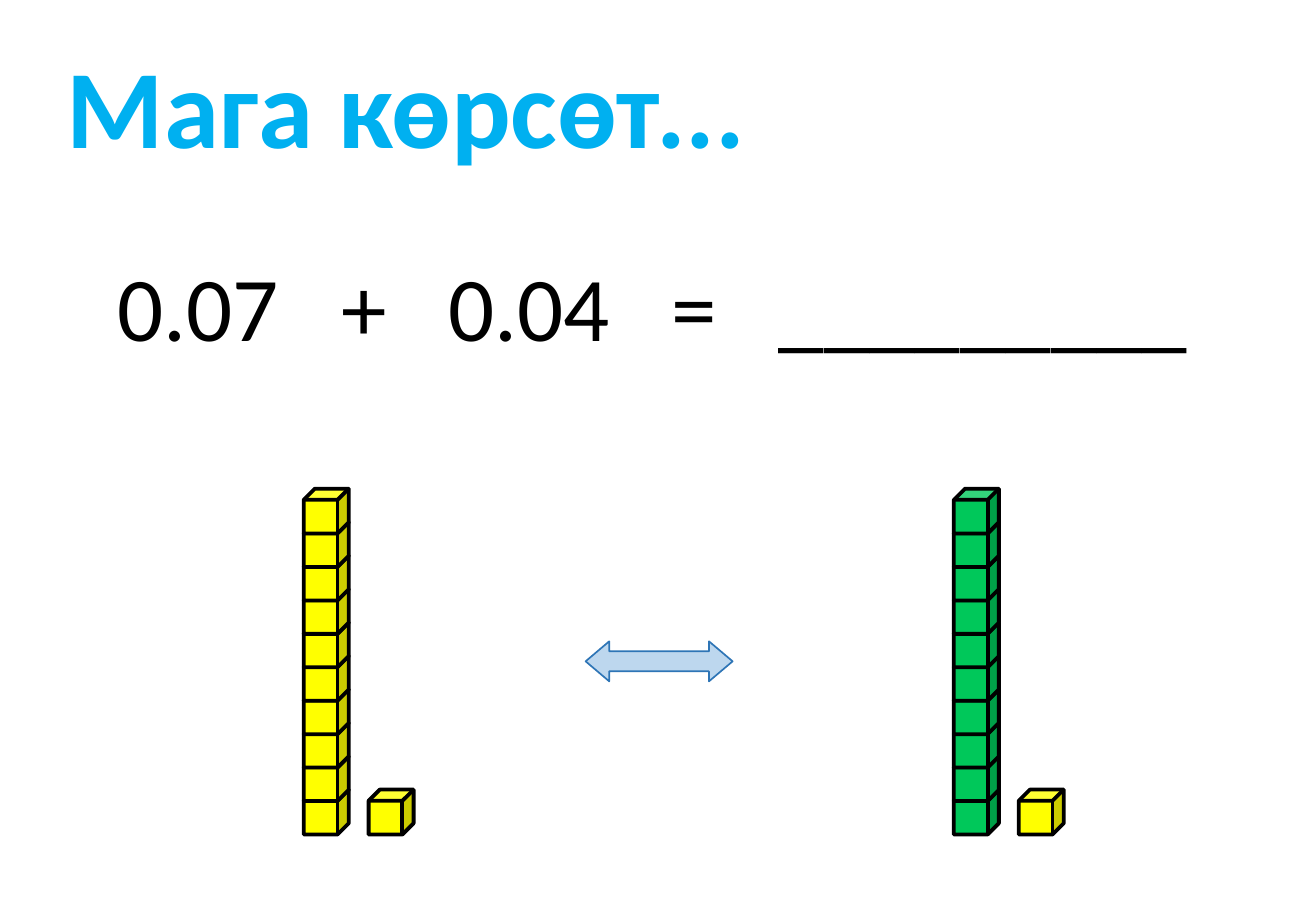
from pptx import Presentation
from pptx.dml.color import RGBColor
from pptx.enum.shapes import MSO_SHAPE
from pptx.util import Inches, Pt
from lxml import etree

CUBE = MSO_SHAPE.CUBE
ARROW = MSO_SHAPE.LEFT_RIGHT_ARROW
WIDTH, HEIGHT = Inches(10.83), Inches(7.5)
HUES = {
    "title": "00B0F0",
    "ink": "000000",
    "green": "00C85A",
    "yellow": "FFFF00",
    "arrow": "BDD7EE",
    "edge": "2E75B6",
}
SIDE, RISE = 3.42, 4.93
FLOOR, PITCH = 86.67, 3.67
TENTH = 10
GAP = 4.93
LEFTS = {"green": 72.48, "yellow": 23.08}
STOPS = (1.84, 2.72, 4.56, 5.44)


def hue(name):
    return RGBColor.from_string(HUES[name])


def area(left, top, width, height):
    return [int(size * share / 100) for size, share in
            ((WIDTH, left), (HEIGHT, top), (WIDTH, width), (HEIGHT, height))]


def add_tabs(par, stops):
    props = par._p.get_or_add_pPr()
    space = props.nsmap["a"]
    tabs = etree.SubElement(props, f"{{{space}}}tabLst")
    for stop in stops:
        etree.SubElement(tabs, f"{{{space}}}tab", pos=str(Inches(stop)), algn="l")


def add_text(slide, text, box, size, color, bold=False, inset=0.1, stops=()):
    frame = slide.shapes.add_textbox(*area(*box)).text_frame
    frame.word_wrap = True
    frame.margin_left = Inches(inset)
    par = frame.paragraphs[0]
    if stops:
        add_tabs(par, stops)
    run = par.add_run()
    run.text = text
    run.font.name = "Calibri"
    run.font.size = Pt(size)
    run.font.bold = bold
    run.font.color.rgb = hue(color)


def add_solid(shapes, kind, box, fill, line, weight):
    shape = shapes.add_shape(kind, *area(*box))
    shape.shadow.inherit = False
    shape.fill.solid()
    shape.fill.fore_color.rgb = hue(fill)
    shape.line.color.rgb = hue(line)
    shape.line.width = Pt(weight)
    return shape


def add_cube(shapes, left, level, color):
    box = (left, FLOOR - level * PITCH, SIDE, RISE)
    add_solid(shapes, CUBE, box, color, "ink", 2.25)


def add_tower(slide, left, color):
    group = slide.shapes.add_group_shape()
    for level in range(TENTH):
        add_cube(group.shapes, left, level, color)


def main():
    deck = Presentation()
    deck.slide_width, deck.slide_height = WIDTH, HEIGHT
    slide = deck.slides.add_slide(deck.slide_layouts[6])

    add_text(slide, "0.07\t+\t0.04\t=\t_________", (8.03, 26.8, 84.03, 13.47),
             54, "ink", stops=STOPS)
    for color, left in LEFTS.items():
        add_tower(slide, left, color)
        add_cube(slide.shapes, left + GAP, 0, "yellow")
    arrow = add_solid(slide.shapes, ARROW, (44.5, 70.4, 11.17, 4.4),
                      "arrow", "edge", 1)
    arrow.adjustments[1] = 0.59
    add_text(slide, "Мага көрсөт...", (2.22, 3.47, 69.62, 16.13),
             66, "title", bold=True, inset=0.31)

    deck.save("out.pptx")


if __name__ == "__main__":
    main()
